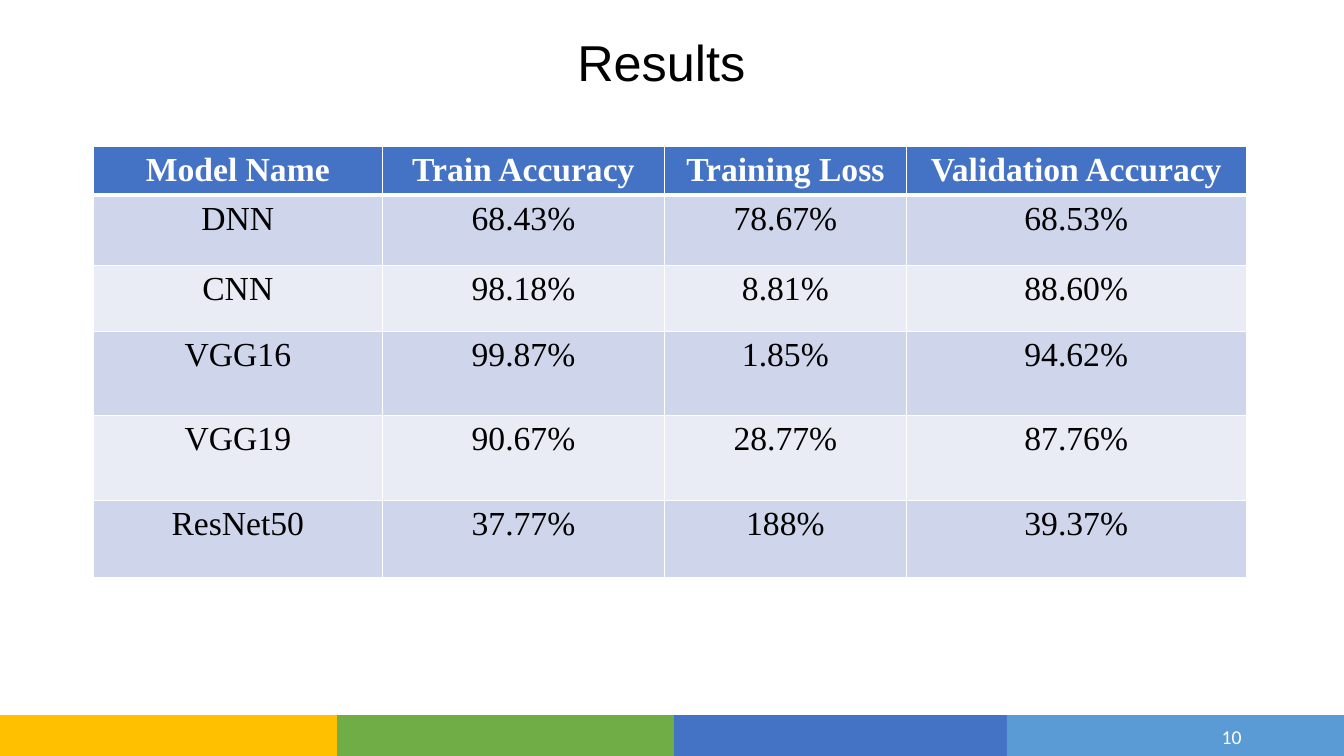
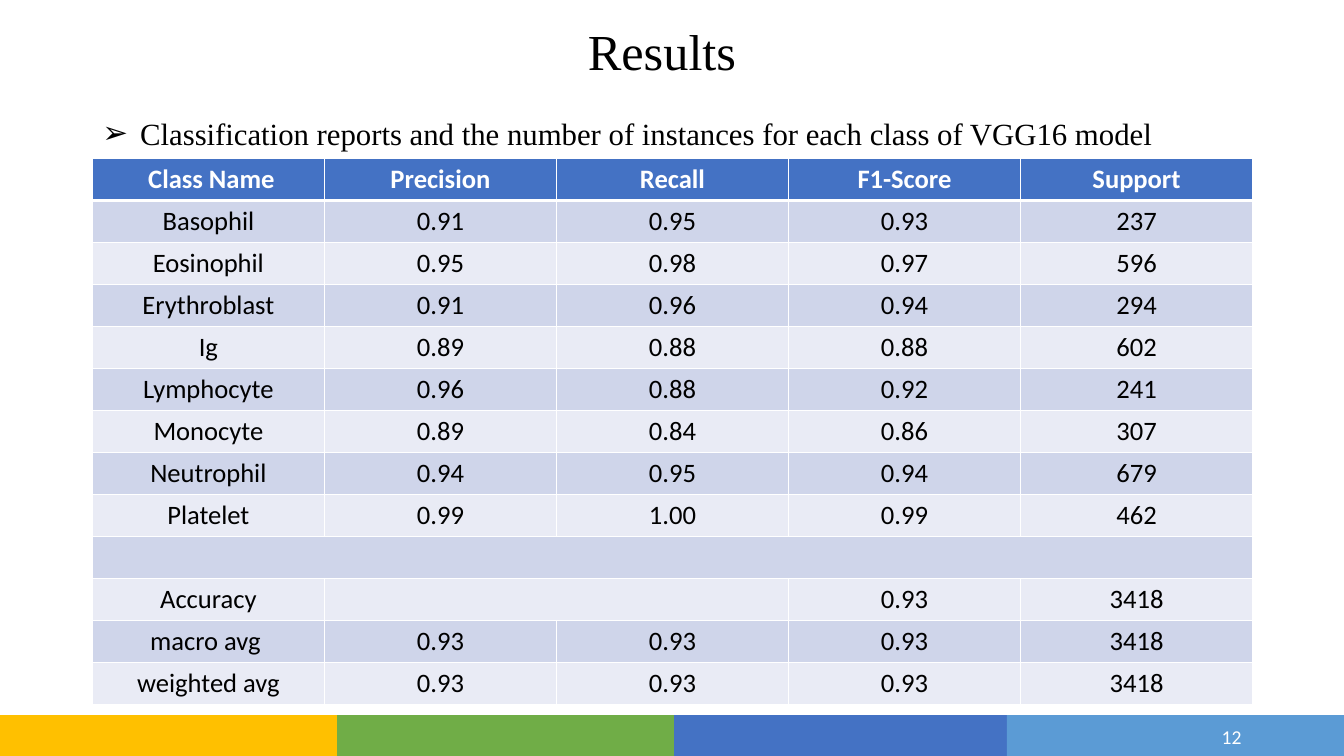
import pptx
import pptx.util
import pptx.dml.color
import pptx.enum.shapes
import pptx.enum.text
import pptx.oxml.ns
import lxml.etree

PX = 9525
COLORS = {
    "gold": "FFC000", "green": "70AD47", "blue": "4472C4", "sky": "5B9BD5",
    "dark_band": "CFD5EA", "light_band": "E9EBF5", "white": "FFFFFF", "black": "000000",
}
SERIF, SANS, BODY = "Times New Roman", "Arial", "Calibri"
ALIGN = pptx.enum.text.PP_ALIGN
ANCHOR = pptx.enum.text.MSO_ANCHOR

MODELS = [
    ["Model Name", "Train Accuracy", "Training Loss", "Validation Accuracy"],
    ["DNN", "68.43%", "78.67%", "68.53%"],
    ["CNN", "98.18%", "8.81%", "88.60%"],
    ["VGG16", "99.87%", "1.85%", "94.62%"],
    ["VGG19", "90.67%", "28.77%", "87.76%"],
    ["ResNet50", "37.77%", "188%", "39.37%"],
]
CLASSES = [
    [" Class Name", "Precision", "Recall", "F1-Score", "Support"],
    ["Basophil", "0.91", "0.95", "0.93", "237"],
    ["Eosinophil", "0.95", "0.98", "0.97", "596"],
    ["Erythroblast", "0.91", "0.96", "0.94", "294"],
    ["Ig", "0.89", "0.88", "0.88", "602"],
    ["Lymphocyte", "0.96", "0.88", "0.92", "241"],
    ["Monocyte", "0.89", "0.84", "0.86", "307"],
    ["Neutrophil", "0.94", "0.95", "0.94", "679"],
    ["Platelet", "0.99", "1.00", "0.99", "462"],
    ["", None, None, None, None],
    ["Accuracy", "", None, "0.93", "3418"],
    ["macro avg ", "0.93", "0.93", "0.93", "3418"],
    ["weighted avg", "0.93", "0.93", "0.93", "3418"],
]


def px(n):
    """Turn px into EMU."""
    return pptx.util.Emu(n * PX)


def rgb(name):
    """Look up a named colour."""
    return pptx.dml.color.RGBColor.from_string(COLORS[name])


def add_run(p, text, size, font, color="black", bold=False):
    """Add one styled run to a paragraph."""
    r = p.add_run()
    r.text = text
    r.font.size = pptx.util.Pt(size)
    r.font.name = font
    r.font.bold = bold
    r.font.color.rgb = rgb(color)


def add_text(s, box, text, size, font, color="black", align=ALIGN.CENTER,
             anchor=ANCHOR.MIDDLE, spacing=1.0):
    """Add a wrapped one-paragraph text box and return the paragraph."""
    tf = s.shapes.add_textbox(*map(px, box)).text_frame
    tf.word_wrap = True
    tf.vertical_anchor = anchor
    p = tf.paragraphs[0]
    p.alignment = align
    p.line_spacing = spacing
    add_run(p, text, size, font, color)
    return p


def add_title(s, box, text, font):
    """Add the slide title."""
    add_text(s, box, text, 36, font, spacing=0.9)


def add_bullet(s, box, text):
    """Add the arrow-bulleted lead line."""
    p = add_text(s, box, text, 22, SERIF, align=ALIGN.JUSTIFY, anchor=ANCHOR.TOP, spacing=1.5)
    pPr = p._p.get_or_add_pPr()
    pPr.set("marL", str(px(36)))
    pPr.set("indent", str(px(-36)))
    qn = pptx.oxml.ns.qn
    lxml.etree.SubElement(pPr, qn("a:buFont"), typeface=SANS)
    lxml.etree.SubElement(pPr, qn("a:buChar"), char="➢")


def add_footer(s, box, number):
    """Add the four colour bands and the slide number."""
    left, top, width, height = box
    band = 321
    for i, color in enumerate(("gold", "green", "blue", "sky")):
        x = left + min(i * band, width - band)
        sp = s.shapes.add_shape(pptx.enum.shapes.MSO_SHAPE.RECTANGLE,
                                px(x), px(top), px(band), px(height))
        sp.shadow.inherit = False
        sp.fill.solid()
        sp.fill.fore_color.rgb = rgb(color)
        sp.line.fill.background()
    add_text(s, (left + width - 376, top + 2, 288, 38), str(number), 14, BODY,
             "white", ALIGN.RIGHT)


def set_borders(cell, row):
    """Give a cell white borders, thick under the header."""
    qn = pptx.oxml.ns.qn
    tcPr = cell._tc.get_or_add_tcPr()
    widths = {"L": 1, "R": 1, "T": 3 if row == 1 else 1, "B": 3 if row == 0 else 1}
    for side, pt in widths.items():
        ln = lxml.etree.SubElement(tcPr, qn("a:ln" + side), w=str(pptx.util.Pt(pt)))
        fill = lxml.etree.SubElement(ln, qn("a:solidFill"))
        lxml.etree.SubElement(fill, qn("a:srgbClr"), val=COLORS["white"])


def fill_cell(cell, row, text, size, font):
    """Style one cell by its row and write its text."""
    set_borders(cell, row)
    cell.fill.solid()
    color = "blue" if row == 0 else "dark_band" if row % 2 else "light_band"
    cell.fill.fore_color.rgb = rgb(color)
    cell.margin_top, cell.margin_bottom = px(5), px(3)
    p = cell.text_frame.paragraphs[0]
    p.alignment = ALIGN.CENTER
    if text:
        add_run(p, text, size, font, "black" if row else "white", row == 0)


def add_grid(s, origin, cols, heights, rows, size, font):
    """Add a banded table; None joins a cell to the one on its left."""
    box = (*origin, sum(cols), sum(heights))
    table = s.shapes.add_table(len(rows), len(cols), *map(px, box)).table
    table.horz_banding = False
    for column, width in zip(table.columns, cols):
        column.width = px(width)
    for i, (values, height) in enumerate(zip(rows, heights)):
        table.rows[i].height = px(height)
        for j, text in enumerate(values):
            fill_cell(table.cell(i, j), i, text, size, font)
        for j, text in enumerate(values):
            end = j
            while end + 1 < len(values) and values[end + 1] is None:
                end += 1
            if text is not None and end > j:
                table.cell(i, j).merge(table.cell(i, end))


def add_results(prs, title_top, title_font, number):
    """Add a results slide with its title and footer."""
    s = prs.slides.add_slide(prs.slide_layouts[6])
    add_footer(s, (0, 681, 1280, 39), number)
    add_title(s, (88, title_top, 1097, 102), "Results ", title_font)
    return s


def main():
    """Build and save the presentation."""
    prs = pptx.Presentation()
    prs.slide_width, prs.slide_height = px(1280), px(720)

    s = add_results(prs, 11, SANS, 10)
    add_grid(s, (89, 139), [275, 269, 230, 324], [47, 67, 63, 80, 81, 73], MODELS, 24, SERIF)

    s = add_results(prs, 1, SERIF, 12)
    add_bullet(s, (88, 87, 1097, 57),
               "Classification reports and the number of instances for each class of VGG16 model")
    add_grid(s, (88, 151), [221] * 5, [40] * len(CLASSES), CLASSES, 19, BODY)

    prs.save("out.pptx")


if __name__ == "__main__":
    main()
